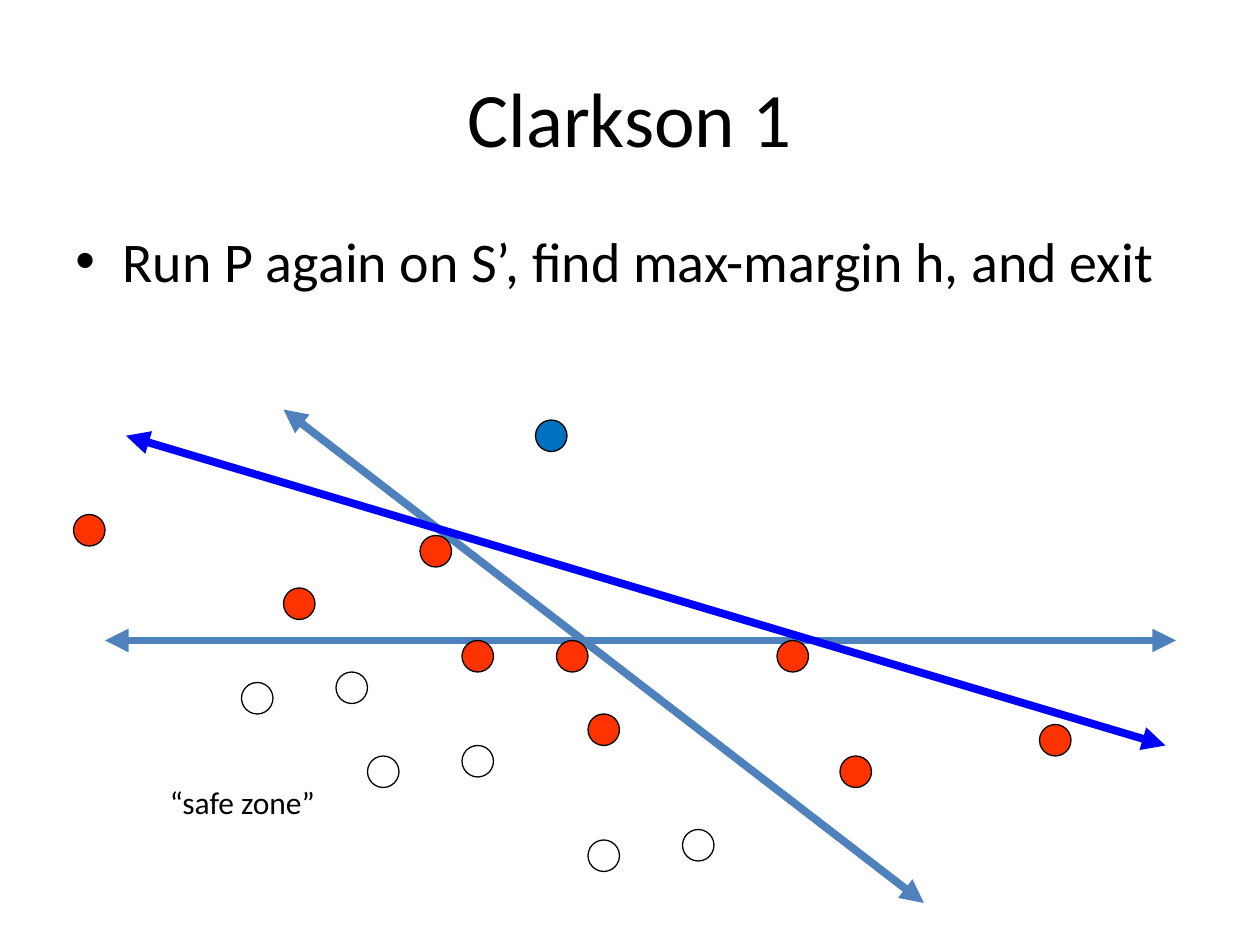
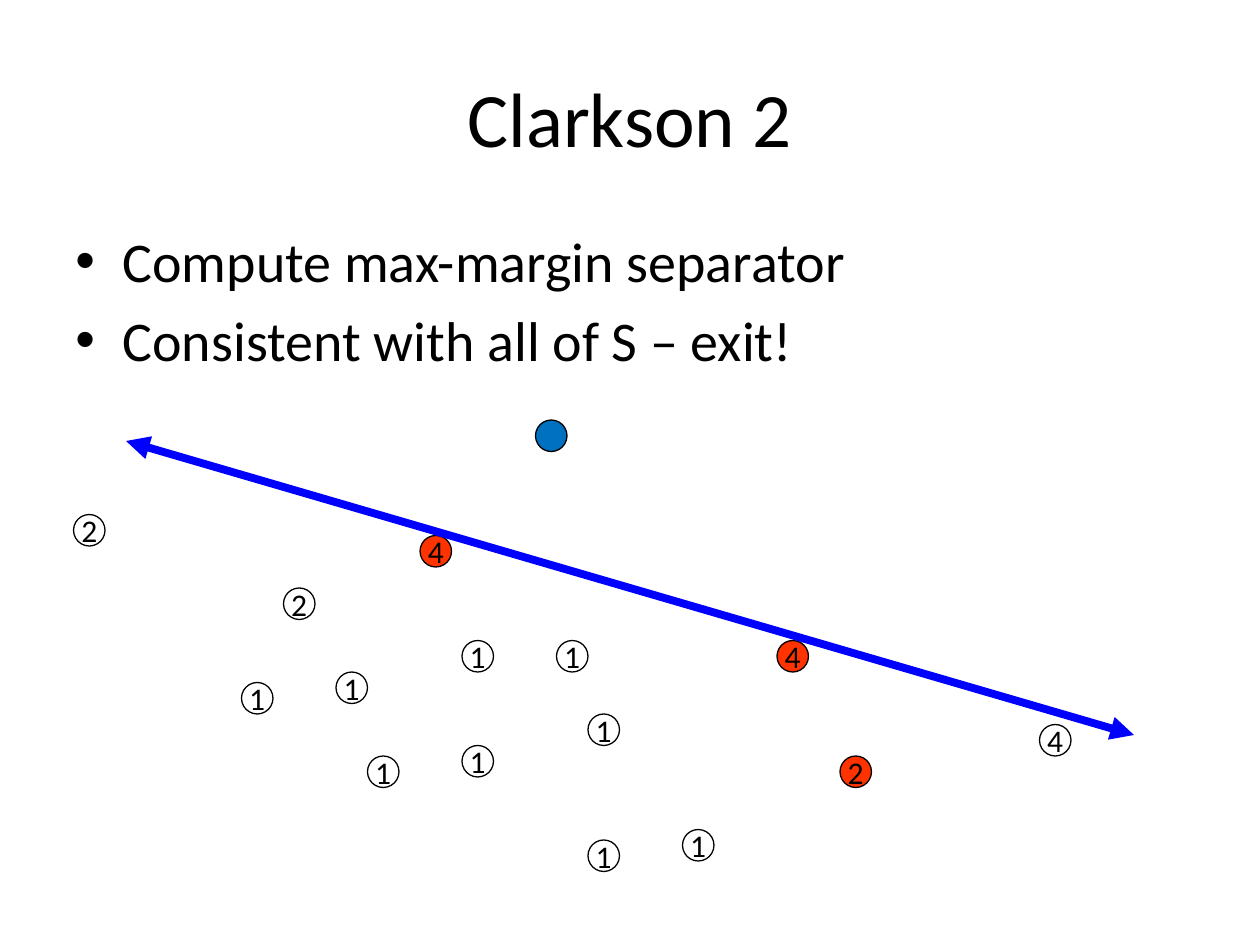
import pptx
import pptx.util
import pptx.dml.color
import pptx.enum.shapes
import pptx.enum.text
import pptx.oxml.ns
from lxml import etree

Pt = pptx.util.Pt
ALIGN = pptx.enum.text.PP_ALIGN
MIDDLE = pptx.enum.text.MSO_ANCHOR.MIDDLE
FONT = "Calibri"
BLACK, WHITE, RED = "000000", "FFFFFF", "FF3300"
BLUE, STEEL, NAVY = "0070C0", "4F81BD", "0000FF"

HEAD = (36, 21.6, 648, 90)
BODY = (36, 126, 648, 356.4)
PLOT = (36, 234)
STEP = 6
DOT = 18

NEAR = [(38, 22, 1), (50, 29, 1), (21, 17, 2), (1, 10, 2), (68, 22, 4),
        (47, 22, 1), (34, 12, 4), (93, 30, 4), (74, 33, 2)]
SAFE = [(38, 32, 1), (29, 33, 1), (26, 25, 1), (17, 26, 1), (59, 40, 1), (50, 41, 1)]
LONE = (45, 1)
PICKED = {(68, 22), (34, 12), (74, 33)}


def color(code):
    return pptx.dml.color.RGBColor.from_string(code)


def child(node, tag, **attrs):
    return etree.SubElement(node, pptx.oxml.ns.qn(tag), attrs)


def write(para, text, size):
    run = para.add_run()
    run.text = text
    run.font.name = FONT
    run.font.size = Pt(size)
    run.font.color.rgb = color(BLACK)


def place(x, y):
    return PLOT[0] + x * STEP, PLOT[1] + y * STEP


def title(slide, box, text):
    shape = slide.shapes.title
    shape.left, shape.top, shape.width, shape.height = map(Pt, box)
    shape.text_frame.vertical_anchor = MIDDLE
    para = shape.text_frame.paragraphs[0]
    para.alignment = ALIGN.CENTER
    write(para, text, 44)


def bullets(slide, box, items):
    frame = slide.shapes.add_textbox(*map(Pt, box)).text_frame
    frame.word_wrap = True
    for i, item in enumerate(items):
        para = frame.add_paragraph() if i else frame.paragraphs[0]
        para.space_before = Pt(6.4)
        props = para._p.get_or_add_pPr()
        props.set("marL", str(Pt(27)))
        props.set("indent", str(Pt(-27)))
        child(props, "a:buFont", typeface="Arial")
        child(props, "a:buChar", char="•")
        write(para, item, 32)


def arrow(slide, start, end, hue):
    kind = pptx.enum.shapes.MSO_CONNECTOR.STRAIGHT
    ends = place(*start) + place(*end)
    line = slide.shapes.add_connector(kind, *map(Pt, ends))
    line.line.color.rgb = color(hue)
    line.line.width = Pt(4.5)
    stroke = line.line._get_or_add_ln()
    for tag in ("a:headEnd", "a:tailEnd"):
        child(stroke, tag, type="triangle")
    child(line._element.spPr, "a:effectLst")


def dot(slide, x, y, hue, text=""):
    kind = pptx.enum.shapes.MSO_SHAPE.OVAL
    shape = slide.shapes.add_shape(kind, *map(Pt, place(x, y) + (DOT, DOT)))
    shape.shadow.inherit = False
    shape.fill.solid()
    shape.fill.fore_color.rgb = color(hue)
    shape.line.color.rgb = color(BLACK)
    shape.line.width = Pt(0.75)
    if text:
        frame = shape.text_frame
        frame.word_wrap = False
        frame.vertical_anchor = MIDDLE
        frame.paragraphs[0].alignment = ALIGN.CENTER
        write(frame.paragraphs[0], text, 18)


def label(slide, x, y, text):
    box = place(x, y) + (104.4, 28.8)
    frame = slide.shapes.add_textbox(*map(Pt, box)).text_frame
    frame.word_wrap = False
    frame.auto_size = pptx.enum.text.MSO_AUTO_SIZE.SHAPE_TO_FIT_TEXT
    write(frame.paragraphs[0], text, 18)


def start(deck, head, items):
    slide = deck.slides.add_slide(deck.slide_layouts[5])
    title(slide, HEAD, head)
    bullets(slide, BODY, items)
    return slide


def zones(deck):
    slide = start(deck, "Clarkson 1",
                  ["Run P again on S’, find max-margin h, and exit"])
    arrow(slide, (4, 22), (106, 22), STEEL)
    arrow(slide, (21, 0), (82, 47), STEEL)
    arrow(slide, (6, 2.5), (105, 32), NAVY)
    dot(slide, *LONE, BLUE)
    for group, hue in ((NEAR, RED), (SAFE, WHITE)):
        for x, y, weight in group:
            dot(slide, x, y, hue)
    label(slide, 9, 35, "“safe zone”")


def weights(deck):
    slide = start(deck, "Clarkson 2",
                  ["Compute max-margin separator",
                   "Consistent with all of S – exit!"])
    dot(slide, *LONE, BLUE)
    for x, y, weight in NEAR + SAFE:
        dot(slide, x, y, RED if (x, y) in PICKED else WHITE, str(weight))
    arrow(slide, (6, 3), (102, 31), NAVY)


deck = pptx.Presentation()
deck.slide_width, deck.slide_height = Pt(720), Pt(540)
zones(deck)
weights(deck)
deck.save("out.pptx")
